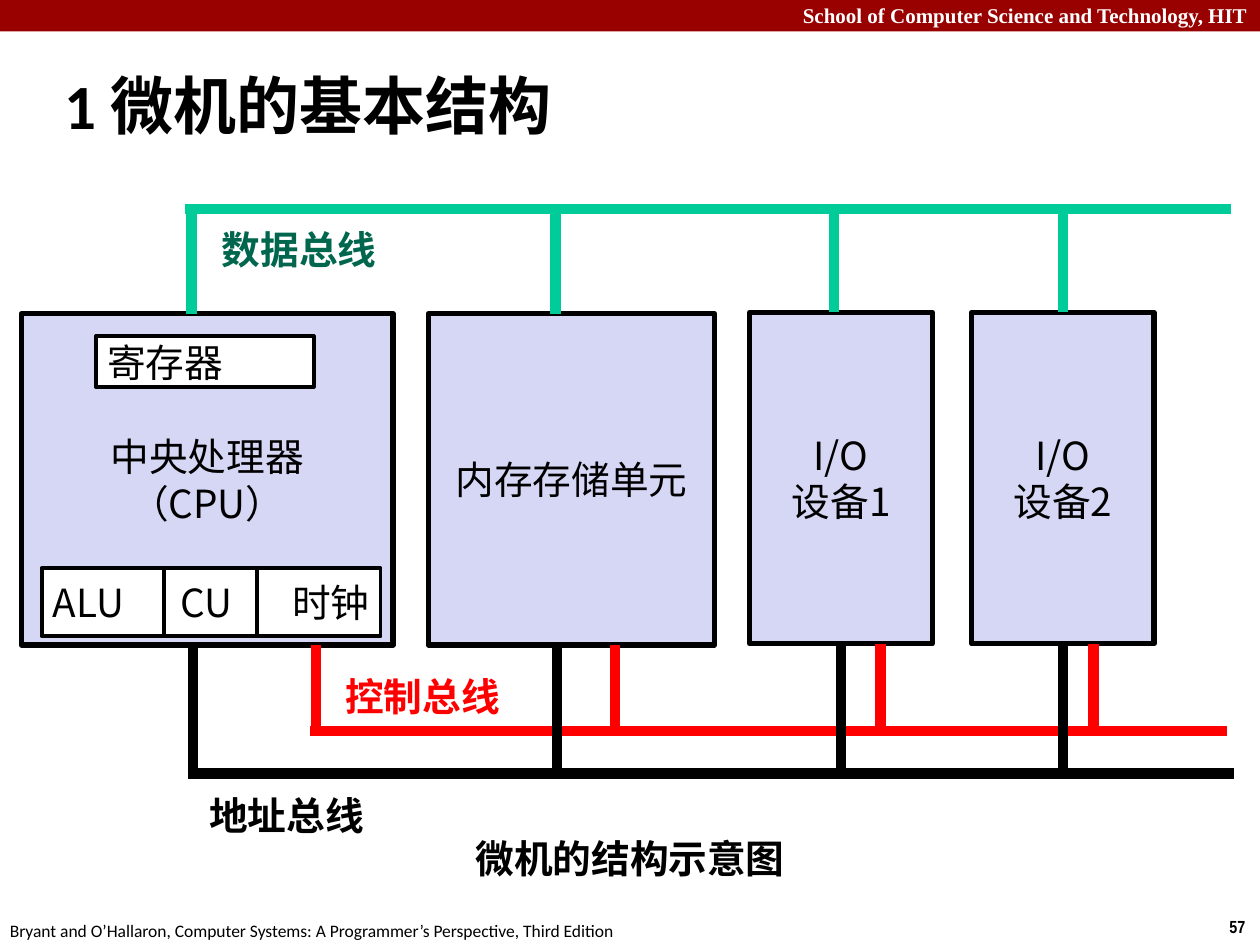
"""Build the slide showing the basic bus structure of a microcomputer."""
import pptx
import pptx.util
import pptx.dml.color
import pptx.enum.shapes
import pptx.enum.text
import pptx.oxml.ns
from lxml import etree

COLORS = {"bar": "990000", "white": "FFFFFF", "black": "000000", "unit": "D6D6F5",
          "data": "00CC99", "data_label": "00664D", "control": "FF0000"}
CJK = "Noto Sans CJK SC"
SIZE = 22.1
TITLE = "1 微机的基本结构"
CAPTION = "微机的结构示意图"
HEADER = "School of Computer Science and Technology, HIT"
FOOTER = "Bryant and O’Hallaron, Computer Systems: A Programmer’s Perspective, Third Edition"
PAGE = "57"
UNIT_H = 2.63
UNITS = [
    (["中央处理器", "（CPU）"], 0.17, 2.49, 2.95),
    (["内存存储单元"], 3.4, 2.49, 2.27),
    (["I/O", "设备1"], 5.95, 2.48, 1.45),
    (["I/O", "设备2"], 7.71, 2.48, 1.45),
]
REGISTER = (["寄存器"], (0.76, 2.67, 1.73, 0.4))
CORE = (["ALU\tCU\t时钟"], (0.33, 4.51, 2.69, 0.54))
CORE_TABS = [1.01, 1.9]
CORE_DIVIDERS = [1.3, 2.04]
BUSES = [
    {"color": "data", "y": 1.66, "span": (1.47, 9.77), "side": 0,
     "drops": [1.52, 4.41, 6.62, 8.42], "label": "数据总线", "ink": "data_label",
     "box": (1.67, 1.75, 1.62, 0.42)},
    {"color": "control", "y": 5.8, "span": (2.46, 9.74), "side": 2,
     "drops": [2.51, 4.88, 6.99, 8.68], "label": "控制总线", "ink": "control",
     "box": (2.65, 5.3, 1.51, 0.39)},
    {"color": "black", "y": 6.14, "span": (1.49, 9.79), "side": 2,
     "drops": [1.53, 4.42, 6.67, 8.42], "label": "地址总线", "ink": "black",
     "box": (1.57, 6.24, 1.72, 0.45)},
]

Inches, Pt = pptx.util.Inches, pptx.util.Pt
ALIGN = pptx.enum.text.PP_ALIGN
ANCHOR = pptx.enum.text.MSO_ANCHOR
qn = pptx.oxml.ns.qn


def rgb(name):
    return pptx.dml.color.RGBColor.from_string(COLORS[name])


def write(tf, lines, size=SIZE, font=CJK, color="black", bold=False, align=ALIGN.LEFT):
    for i, line in enumerate(lines):
        p = tf.add_paragraph() if i else tf.paragraphs[0]
        p.alignment = align
        r = p.add_run()
        r.text = line
        r.font.size, r.font.bold, r.font.name = Pt(size), bold, font
        r.font.color.rgb = rgb(color)
        if font == CJK:
            etree.SubElement(r.font._element, qn("a:ea"), typeface=CJK)


def add_text(s, text, box, wrap=False, **style):
    tf = s.shapes.add_textbox(*map(Inches, box)).text_frame
    tf.word_wrap = wrap
    write(tf, [text], **style)


def add_box(s, lines, box, fill="white", line=0, anchor=ANCHOR.MIDDLE, **style):
    sp = s.shapes.add_shape(pptx.enum.shapes.MSO_SHAPE.RECTANGLE, *map(Inches, box))
    sp.shadow.inherit = False
    sp.fill.solid()
    sp.fill.fore_color.rgb = rgb(fill)
    if line:
        sp.line.color.rgb = rgb("black")
        sp.line.width = Pt(line)
    else:
        sp.line.fill.background()
    tf = sp.text_frame
    tf.word_wrap = True
    tf.vertical_anchor = anchor
    tf.margin_left = tf.margin_right = Inches(0.09)
    tf.margin_top = tf.margin_bottom = Inches(0.04)
    write(tf, lines, **style)
    return sp


def add_line(s, x1, y1, x2, y2, color="black", width=6):
    cx = s.shapes.add_connector(pptx.enum.shapes.MSO_CONNECTOR.STRAIGHT,
                                *map(Inches, (x1, y1, x2, y2)))
    cx.line.color.rgb = rgb(color)
    cx.line.width = Pt(width)
    etree.SubElement(cx._element.spPr, qn("a:effectLst"))
    return cx


def add_drops(s, bus, units):
    for x, unit, (_, left, top, width) in zip(bus["drops"], units, UNITS):
        middle = left + width / 2
        centred = abs(x - middle) < 0.02
        x = middle if centred else x
        edge = top + (UNIT_H if bus["side"] else 0)
        cx = add_line(s, x, edge, x, bus["y"], bus["color"])
        if centred:
            cx.begin_connect(unit, bus["side"])


def main():
    prs = pptx.Presentation()
    prs.slide_width, prs.slide_height = Inches(10), Inches(7.5)
    s = prs.slides.add_slide(prs.slide_layouts[5])

    title = s.shapes.title
    title.left, title.top, title.width, title.height = map(Inches, (0.41, 0.41, 9.58, 0.83))
    title.text_frame.vertical_anchor = ANCHOR.MIDDLE
    write(title.text_frame, [TITLE], size=36, font="Calibri", bold=True)
    pPr = title.text_frame.paragraphs[0]._p.get_or_add_pPr()
    pPr.set("marL", str(Inches(0.13)))
    pPr.set("indent", str(-Inches(0.13)))

    add_box(s, [], (0, 0, 10, 0.25), fill="bar")
    add_text(s, HEADER, (0, -0.03, 10, 0.3), wrap=True, size=12, font="Times New Roman",
             color="white", bold=True, align=ALIGN.RIGHT)
    add_text(s, PAGE, (9.66, 7.22, 0.34, 0.27), size=10, font="Arial Narrow", bold=True)
    add_text(s, FOOTER, (-0.02, 7.25, 5.08, 0.27), size=10, font="Calibri")

    panel = add_box(s, [CAPTION], (0, 1.44, 10, 5.71), anchor=ANCHOR.BOTTOM,
                    bold=True, align=ALIGN.CENTER)
    panel.text_frame.margin_bottom = Inches(0.16)

    units = [add_box(s, lines, (x, y, w, UNIT_H), fill="unit", line=3, align=ALIGN.CENTER)
             for lines, x, y, w in UNITS]
    add_box(s, *REGISTER, line=2.25)
    core = add_box(s, *CORE, line=2.25)
    core.text_frame.margin_right = 0
    tabs = etree.SubElement(core.text_frame.paragraphs[0]._p.get_or_add_pPr(), qn("a:tabLst"))
    for pos in CORE_TABS:
        etree.SubElement(tabs, qn("a:tab"), pos=str(Inches(pos)), algn="l")
    _, top, _, height = CORE[1]
    for x in CORE_DIVIDERS:
        add_line(s, x, top, x, top + height, width=2.25)

    for bus in BUSES:
        start, end = bus["span"]
        add_line(s, start, bus["y"], end, bus["y"], bus["color"])
        add_drops(s, bus, units)
        add_box(s, [bus["label"]], bus["box"], anchor=ANCHOR.TOP, color=bus["ink"], bold=True)

    prs.save("out.pptx")


if __name__ == "__main__":
    main()
